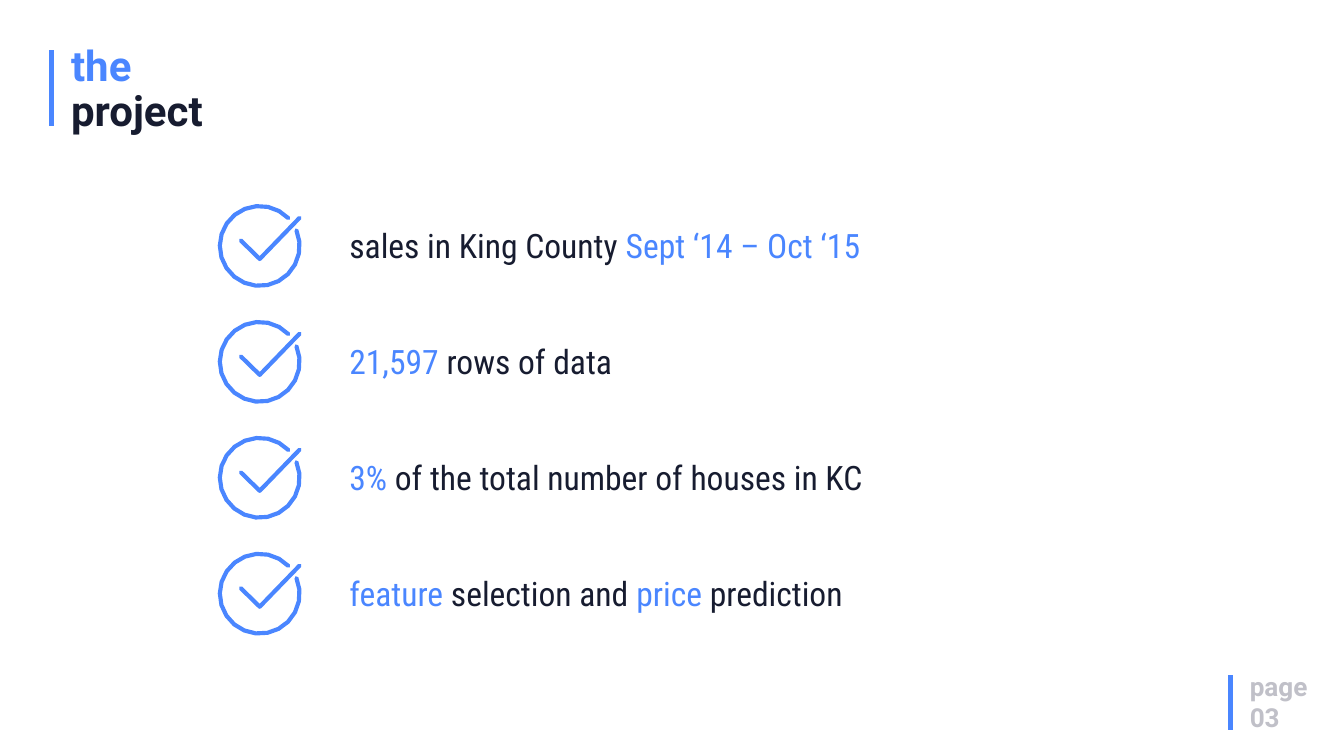
import math
from dataclasses import dataclass

import pptx
import pptx.dml.color
import pptx.enum.shapes
import pptx.oxml
import pptx.util

COLOURS = {"accent": "4A86FF", "ink": "171C30", "muted": "C0C0C8"}
CELL = 0.25
COLUMNS, ROWS = 80, 45
BREAK = "\n"

ITEMS = [
    [("sales in King County ", "ink"), ("Sept ‘14 – Oct ‘15", "accent")],
    [("21,597", "accent"), (" rows of data", "ink")],
    [("3%", "accent"), (" of the total number of houses in KC", "ink")],
    [("feature", "accent"), (" selection and ", "ink"),
     ("price", "accent"), (" prediction", "ink")],
]


@dataclass
class Box:
    left: float
    top: float
    width: float
    height: float


def cells(count):
    return pptx.util.Inches(count * CELL)


def colour(name):
    return pptx.dml.color.RGBColor.from_string(COLOURS[name])


def add_text(shapes, box, paragraphs, font, size, bold=False, spacing=1.0):
    text_box = shapes.add_textbox(cells(box.left), cells(box.top),
                                  cells(box.width), cells(box.height))
    frame = text_box.text_frame
    frame.word_wrap = True
    for index, runs in enumerate(paragraphs):
        para = frame.add_paragraph() if index else frame.paragraphs[0]
        para.line_spacing = spacing
        for text, tone in runs:
            if text == BREAK:
                para.add_line_break()
                continue
            span = para.add_run()
            span.text = text
            span.font.name = font
            span.font.size = pptx.util.Pt(size)
            span.font.bold = bold
            span.font.color.rgb = colour(tone)


def add_barred_label(page, box, bar_height, paragraphs, size, spacing=1.0):
    bar = page.shapes.add_connector(
        pptx.enum.shapes.MSO_CONNECTOR.STRAIGHT,
        cells(box.left), cells(box.top),
        cells(box.left), cells(box.top + bar_height))
    bar.line.color.rgb = colour("accent")
    bar.line.width = pptx.util.Pt(5)
    properties = bar.element.spPr
    properties.append(pptx.oxml.parse_xml(
        '<a:effectLst xmlns:a="http://schemas.openxmlformats.org/drawingml/2006/main"/>'))
    label = Box(box.left + 0.76, box.top - 0.52, box.width, box.height)
    add_text(page.shapes, label, paragraphs, "Roboto", size, True, spacing)


def arc(x, y, radius, start, end, steps=2):
    angles = [math.radians(start + (end - start) * step / steps)
              for step in range(steps + 1)]
    return [(x + radius * math.cos(angle), y + radius * math.sin(angle))
            for angle in angles]


def ring_outline(start, end, middle, half):
    outer = arc(0, 0, middle + half, start, end, 20)
    inner = arc(0, 0, middle - half, end, start, 20)
    end_cap = arc(0, 0, middle, end + 3, end + 3, 1)[:1]
    start_cap = arc(0, 0, middle, start - 3, start - 3, 1)[:1]
    return outer + end_cap + inner + start_cap


def tick_outline(half):
    return (arc(-0.45, -0.13, half, -45, -225) + arc(0, 0.31, half, 135, 45)
            + arc(0.95, -0.67, half, 45, -135) + [(0, 0.31 - half * math.sqrt(2))])


def add_check_icon(shapes, box):
    radius = box.width / 2
    outlines = [
        [(cells(box.left + radius * (1 + x)), cells(box.top + radius * (1 + y)))
         for x, y in outline]
        for outline in (tick_outline(0.05), ring_outline(-23, 316, 0.95, 0.05))
    ]
    builder = shapes.build_freeform(*outlines[0][0])
    builder.add_line_segments(outlines[0][1:], close=True)
    for outline in outlines[1:]:
        builder.move_to(*outline[0])
        builder.add_line_segments(outline[1:], close=True)
    icon = builder.convert_to_shape()
    icon.shadow.inherit = False
    icon.fill.solid()
    icon.fill.fore_color.rgb = colour("accent")
    icon.line.fill.background()


def add_checklist(page, box, items):
    pitch = box.height / len(items)
    icon_size, text_offset = 5, 7.44
    for index, runs in enumerate(items):
        top = box.top + index * pitch
        group = page.shapes.add_group_shape()
        add_check_icon(group.shapes, Box(box.left, top, icon_size, icon_size))
        add_text(group.shapes,
                 Box(box.left + text_offset, top + 1.04, box.width - text_offset, 2.84),
                 [runs], "Roboto Condensed", 36)


def main():
    deck = pptx.Presentation()
    deck.slide_width, deck.slide_height = cells(COLUMNS), cells(ROWS)
    page = deck.slides.add_slide(deck.slide_layouts[6])
    add_barred_label(page, Box(73.24, 40.2, 6, 4.16), 3.24,
                     [[("page", "muted")], [("03", "muted")]], 28)
    add_barred_label(page, Box(3.08, 3, 23.84, 5.84), 4.52,
                     [[("the", "accent"), (BREAK, "accent"), ("project", "ink")]],
                     45, 0.9)
    add_checklist(page, Box(12.96, 12.14, 47.64, 27.6), ITEMS)
    deck.save("out.pptx")


if __name__ == "__main__":
    main()
